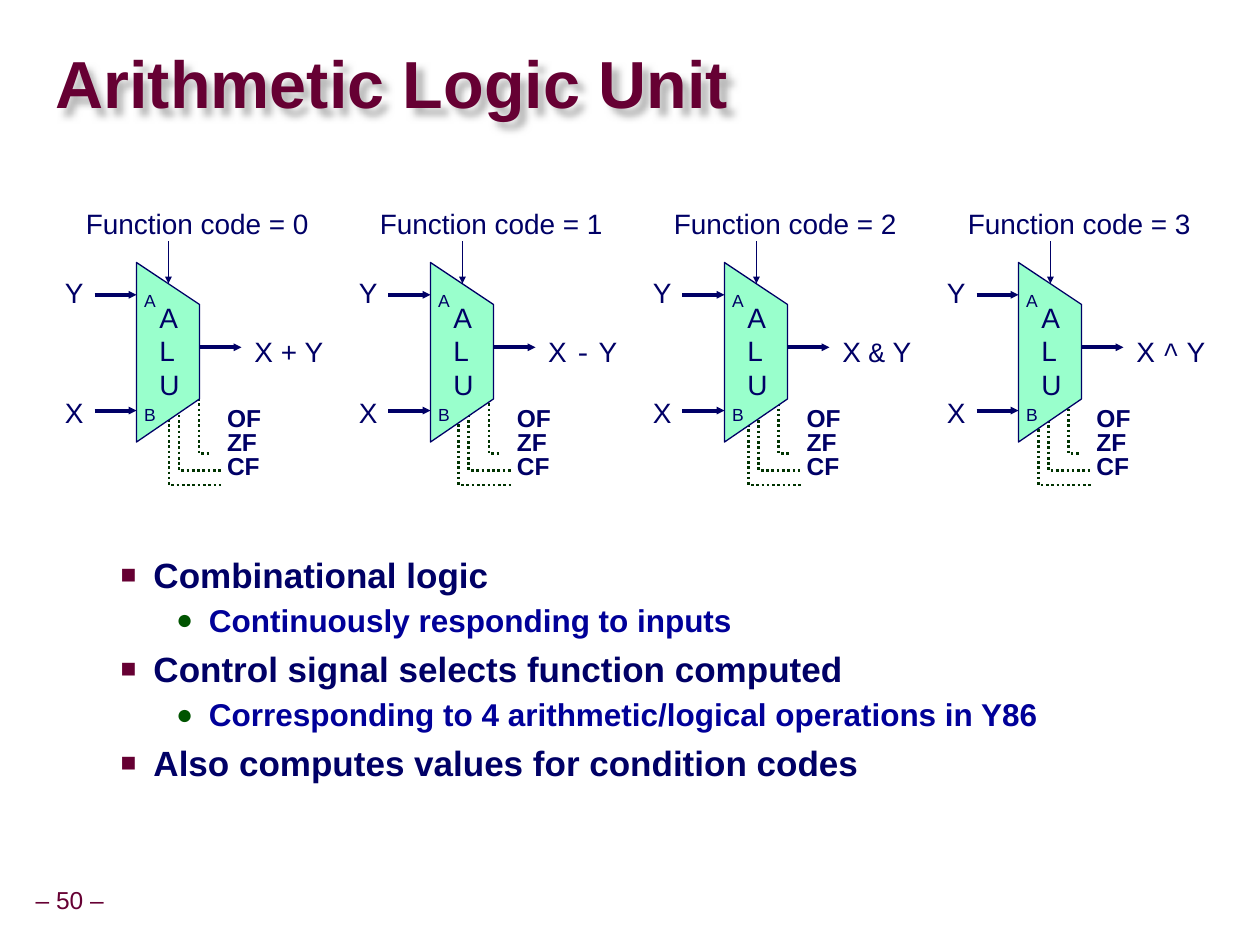
from dataclasses import dataclass
from typing import NamedTuple

from lxml.etree import SubElement
from pptx import Presentation
from pptx.dml.color import RGBColor
from pptx.enum.dml import MSO_LINE
from pptx.enum.shapes import MSO_CONNECTOR
from pptx.enum.text import MSO_ANCHOR as ANCHOR, MSO_AUTO_SIZE as AUTO, PP_ALIGN as ALIGN
from pptx.oxml.ns import qn
from pptx.util import Inches, Pt


@dataclass(frozen=True)
class Theme:
    font: str = "Arial"
    mono: str = "Courier New"
    maroon: str = "660033"
    navy: str = "000066"
    blue: str = "000099"
    green: str = "005400"
    dots: str = "003300"
    mint: str = "99FFCC"
    shadow: str = "B8B8B8"
    title: float = 38
    label: float = 16
    small: float = 14
    port: float = 10
    thin: float = 0.75
    dotted: float = 1.5
    thick: float = 2.25


class Point(NamedTuple):
    col: float
    row: float


class Box(NamedTuple):
    col: float
    row: float
    cols: float
    rows: float


class Flag(NamedTuple):
    name: str
    row: float
    corner: Point
    run: float


class Level(NamedTuple):
    size: float
    color: str
    bullet: str
    bullet_color: str
    bullet_pct: int
    indent: float
    before: float
    spacing: float


T = Theme()
COLS, ROWS = 120, 90
WIDTH, HEIGHT = Inches(10), Inches(7.5)
UNIT_PITCH, FLAG_PITCH = 28, 27.6
FLAG_DROP = 8.28
TIGHT = Inches(0.05)
OPERATORS = "+-&^"
FLAGS = [
    Flag("OF", 38.1, Point(18.96, 34.9), 1.2),
    Flag("ZF", 40.4, Point(17.04, 36.5), 4.05),
    Flag("CF", 42.7, Point(16.1, 37.9), 5),
]
MAIN = Level(20, T.navy, "■", T.maroon, 75, 0.8, 5, 1)
SUB = Level(18, T.blue, "●", T.green, 90, 1.24, 1.8, 1.07)
BODY = [
    (MAIN, "Combinational logic"),
    (SUB, "Continuously responding to inputs"),
    (MAIN, "Control signal selects function computed"),
    (SUB, "Corresponding to 4 arithmetic/logical operations in Y86"),
    (MAIN, "Also computes values for condition codes"),
]


def x(col: float) -> int:
    return round(WIDTH * col / COLS)


def y(row: float) -> int:
    return round(HEIGHT * row / ROWS)


def rgb(color: str) -> RGBColor:
    return RGBColor.from_string(color)


def add_run(p, text: str, *, size: float, color: str, bold=False, font=T.font):
    r = p.add_run()
    r.text = text
    r.font.name, r.font.size, r.font.bold = font, Pt(size), bold
    r.font.color.rgb = rgb(color)


def add_text(slide, box: Box, *lines, size=T.label, color=T.navy, bold=False, wrap=False,
             grow=True, inset=None, anchor=ANCHOR.TOP, align=ALIGN.LEFT, spacing=1.0):
    sp = slide.shapes.add_textbox(x(box.col), y(box.row), x(box.cols), y(box.rows))
    tf = sp.text_frame
    tf.word_wrap, tf.vertical_anchor = wrap, anchor
    tf.auto_size = AUTO.SHAPE_TO_FIT_TEXT if grow else AUTO.NONE
    if inset is not None:
        tf.margin_left = tf.margin_right = tf.margin_top = tf.margin_bottom = inset
    for i, line in enumerate(lines):
        p = tf.add_paragraph() if i else tf.paragraphs[0]
        p.alignment, p.line_spacing = align, spacing
        for text, font in [(line, T.font)] if isinstance(line, str) else line:
            add_run(p, text, size=size, color=color, bold=bold, font=font)
    return sp


def add_outline(slide, points: list[Point], *, color: str, width: float,
                fill: str = "", dash=None):
    pts = [(x(pt.col), y(pt.row)) for pt in points]
    fb = slide.shapes.build_freeform(*pts[0])
    fb.add_line_segments(pts[1:], close=bool(fill))
    sp = fb.convert_to_shape()
    sp.shadow.inherit = False
    if fill:
        sp.fill.solid()
        sp.fill.fore_color.rgb = rgb(fill)
    else:
        sp.fill.background()
    sp.line.color.rgb, sp.line.width = rgb(color), Pt(width)
    if dash:
        sp.line.dash_style = dash


def add_arrow(slide, start: Point, end: Point, width: float):
    cn = slide.shapes.add_connector(
        MSO_CONNECTOR.STRAIGHT, x(start.col), y(start.row), x(end.col), y(end.row))
    cn.line.color.rgb, cn.line.width = rgb(T.navy), Pt(width)
    SubElement(cn.line._get_or_add_ln(), qn("a:tailEnd"), type="triangle", w="sm", len="sm")
    SubElement(cn._element.spPr, qn("a:effectLst"))


def add_flags(slide, left: float):
    for flag in FLAGS:
        col, row = left + flag.corner.col, flag.corner.row
        foot = row + FLAG_DROP
        add_outline(slide, [Point(col, row), Point(col, foot), Point(col + flag.run, foot)],
                    color=T.dots, width=T.dotted, dash=MSO_LINE.ROUND_DOT)
        add_text(slide, Box(left + 21.03, flag.row, 6, 3.84), flag.name, size=T.small,
                 bold=True, wrap=True, grow=False, inset=TIGHT, spacing=0.9)


def add_alu(slide, left: float, code: int, operator: str):
    add_arrow(slide, Point(left + 9, 28.08), Point(left + 13, 28.08), T.thick)
    add_arrow(slide, Point(left + 16.04, 23), Point(left + 16.04, 27), T.thin)
    corners = [(13, 25), (19, 29), (19, 38), (13, 42.1)]
    add_outline(slide, [Point(left + c, r) for c, r in corners],
                color=T.navy, width=T.thin, fill=T.mint)
    add_text(slide, Box(left + 14, 28, 5, 10.9), *"ALU", wrap=True)
    add_arrow(slide, Point(left + 9, 39.1), Point(left + 13, 39.1), T.thick)
    add_arrow(slide, Point(left + 19, 33.08), Point(left + 23, 33.08), T.thick)
    add_text(slide, Box(left + 5, 25.7, 4.2, 4.44), "Y")
    add_text(slide, Box(left + 5, 37.1, 4.2, 4.44), "X")
    add_text(slide, Box(left + 23.04, 31.25, 9.1, 4.44),
             [("X ", T.font), (operator, T.mono), (" Y", T.font)])
    add_text(slide, Box(left + 7, 19.1, 24, 4.44), f"Function code = {code}")
    for name, row in (("A", 27), ("B", 37.9)):
        add_text(slide, Box(left + 12.55, row, 3.6, 3.24), name, size=T.port)


def add_title(slide, text: str):
    sp = add_text(slide, Box(5.3, 3.25, 114.4, 10.2), text, size=T.title, color=T.maroon,
                  bold=True, wrap=True, grow=False, inset=0, anchor=ANCHOR.MIDDLE, spacing=0.87)
    effects = SubElement(sp._element.spPr, qn("a:effectLst"))
    shadow = SubElement(effects, qn("a:outerShdw"), blurRad="50800", dist="63500",
                        dir="2700000", algn="tl", rotWithShape="0")
    SubElement(shadow, qn("a:srgbClr"), val=T.shadow)


def add_body(slide):
    sp = slide.shapes.add_textbox(x(3.84), y(52.1), x(109), y(32.5))
    tf = sp.text_frame
    tf.word_wrap = True
    for i, (level, text) in enumerate(BODY):
        p = tf.add_paragraph() if i else tf.paragraphs[0]
        pPr = p._p.get_or_add_pPr()
        pPr.set("marL", str(Inches(level.indent)))
        pPr.set("indent", str(-Inches(0.26)))
        SubElement(SubElement(pPr, qn("a:buClr")), qn("a:srgbClr"), val=level.bullet_color)
        SubElement(pPr, qn("a:buSzPct"), val=str(level.bullet_pct * 1000))
        SubElement(pPr, qn("a:buFont"), typeface=T.font)
        SubElement(pPr, qn("a:buChar"), char=level.bullet)
        p.line_spacing = level.spacing
        p.space_before = Pt(level.before if i else 0)
        add_run(p, text, size=level.size, color=level.color, bold=True)


def main():
    prs = Presentation()
    prs.slide_width, prs.slide_height = WIDTH, HEIGHT
    slide = prs.slides.add_slide(prs.slide_layouts[6])
    add_text(slide, Box(2.57, 83.92, 8.16, 3.84), "– 50 –", size=T.small, color=T.maroon,
             inset=TIGHT, anchor=ANCHOR.MIDDLE, align=ALIGN.CENTER, spacing=0.9)
    for i in range(len(OPERATORS)):
        add_flags(slide, i * FLAG_PITCH)
    add_title(slide, "Arithmetic Logic Unit")
    add_body(slide)
    for i, operator in enumerate(OPERATORS):
        add_alu(slide, i * UNIT_PITCH, i, operator)
    prs.save("out.pptx")


if __name__ == "__main__":
    main()
